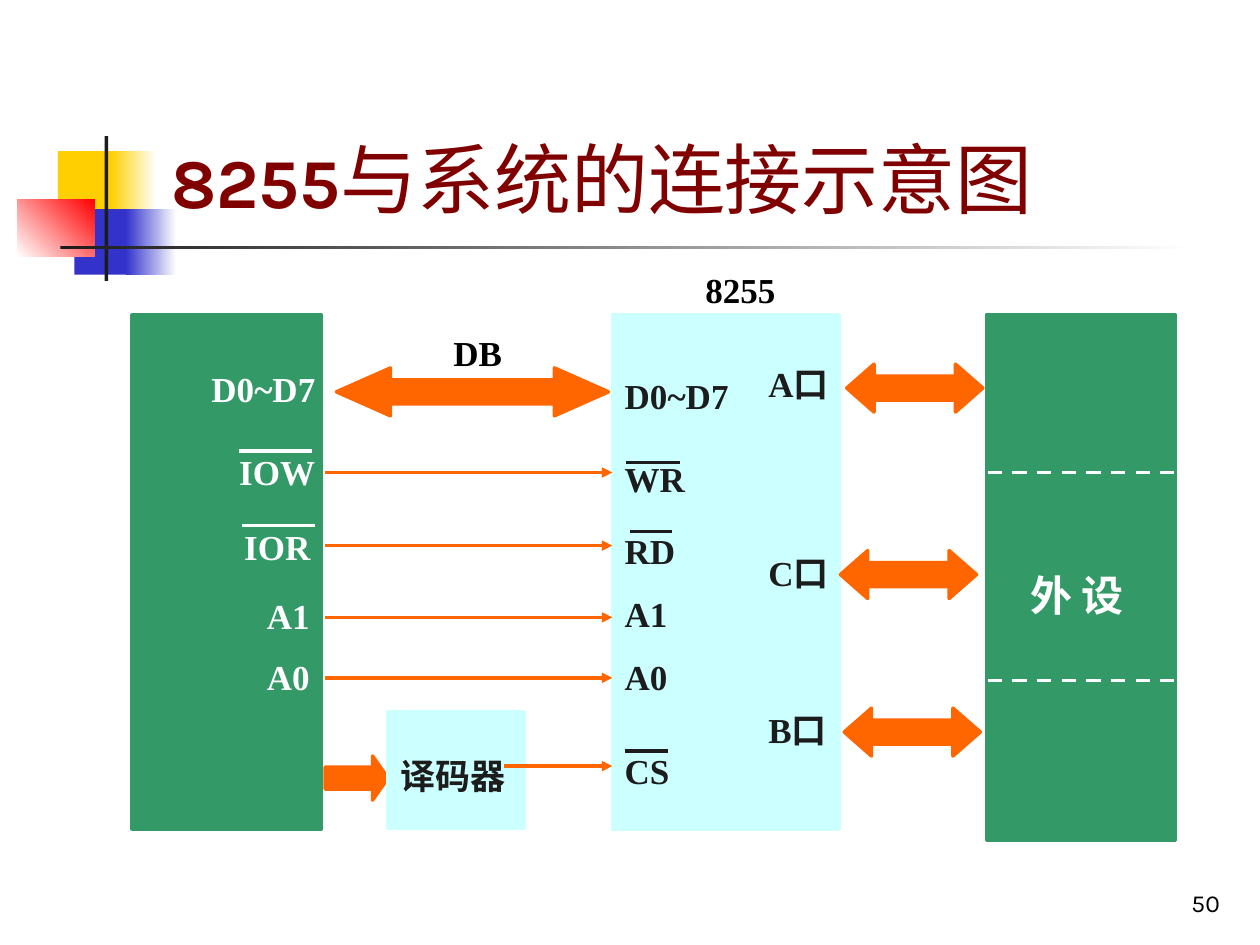
from lxml.etree import SubElement
from pptx import Presentation
from pptx.dml.color import RGBColor
from pptx.enum.dml import MSO_LINE
from pptx.enum.shapes import MSO_CONNECTOR, MSO_SHAPE
from pptx.enum.text import MSO_ANCHOR, PP_ALIGN
from pptx.oxml.ns import qn
from pptx.util import Inches, Pt

GREEN, CYAN, ORANGE = "339966", "CCFFFF", "FF6600"
DARK, WHITE, BLACK, MAROON = "1C1C1C", "FFFFFF", "000000", "800000"
YELLOW, BLUE, RED = "FFCF01", "3333CC", "FF0000"
SERIF, SANS = "Times New Roman", "Karla"

# Corner ornament: left, top, width, height, colours, gradient angle
ORNAMENT = [
    (0.46, 1.2, 0.48, 0.52, [YELLOW], 0),
    (0.88, 1.2, 0.36, 0.52, [YELLOW, WHITE], 0),
    (0.59, 1.66, 0.46, 0.52, [BLUE], 0),
    (1, 1.66, 0.4, 0.52, [BLUE, WHITE], 0),
    (0.14, 1.58, 0.61, 0.46, [WHITE, RED], 45),
    (0.83, 1.08, 0.03, 1.15, [DARK], 0),
    (0.48, 1.95, 9, 0.03, [DARK, WHITE], 0),
]

# Blocks of the diagram: left, top, width, height, colour
SYSTEM = (1.05, 2.5, 1.5, 4.08, GREEN)
CHIP = (4.86, 2.5, 1.8, 4.08, CYAN)
DEVICE = (7.83, 2.5, 1.5, 4.17, GREEN)
DECODER = (3.08, 5.65, 1.08, 0.92, CYAN)
BUS_START, CHIP_EDGE = 2.58, CHIP[0]

# Labels: text, left, top, width
SYSTEM_PINS = [("D0~D7", 1.58, 2.87, 1.17), ("IOW", 1.8, 3.53, 0.83),
               ("IOR", 1.84, 4.12, 0.83), ("A1", 2.02, 4.67, 0.66),
               ("A0", 2.02, 5.15, 0.66)]
HEADINGS = [("DB", 3.5, 2.58, 0.83), ("8255", 5.5, 2.08, 0.83)]
CHIP_PINS = [("D0~D7", 2.92), ("WR", 3.58), ("RD", 4.15),
             ("A1", 4.65), ("A0", 5.15), ("CS", 5.9)]

# Ports: text, label top, arrow left, arrow top
PORTS = [("A口", 2.83, 6.72, 2.89), ("C口", 4.33, 6.67, 4.37),
         ("B口", 5.57, 6.7, 5.62)]

# Signal arrows into the chip: start, height
SIGNALS = [(BUS_START, 3.75), (BUS_START, 4.33), (BUS_START, 4.9),
           (BUS_START, 5.38), (4, 6.08)]

# Bars over active-low names: start, end, height, colour
OVERLINES = [(1.9, 2.48, 3.58, WHITE), (1.92, 2.5, 4.17, WHITE),
             (4.97, 5.4, 3.67, DARK), (5, 5.33, 4.22, DARK),
             (4.96, 5.3, 5.96, DARK)]
DIVIDERS = [3.75, 5.4]

presentation = Presentation()
presentation.slide_width, presentation.slide_height = Inches(10), Inches(7.5)
slide = presentation.slides.add_slide(presentation.slide_layouts[6])


def color(value):
    return RGBColor.from_string(value)


def add_block(left, top, width, height, fill, kind=MSO_SHAPE.RECTANGLE,
              adjustments=(), outlined=True):
    shape = slide.shapes.add_shape(
        kind, Inches(left), Inches(top), Inches(width), Inches(height))
    shape.shadow.inherit = False
    for index, value in enumerate(adjustments):
        shape.adjustments[index] = value
    shape.fill.solid()
    shape.fill.fore_color.rgb = color(fill)
    if outlined:
        shape.line.color.rgb = color(fill)
        shape.line.width = Pt(2)
    else:
        shape.line.fill.background()
    return shape


def add_gradient(shape, colors, angle):
    shape.fill.gradient()
    shape.fill.gradient_angle = angle
    for stop, value, position in zip(shape.fill.gradient_stops, colors, (0, 1)):
        stop.color.rgb = color(value)
        stop.position = position


def add_line(start, end, height, line_color, arrow=False, dashed=False):
    line = slide.shapes.add_connector(
        MSO_CONNECTOR.STRAIGHT, Inches(start), Inches(height),
        Inches(end), Inches(height))
    line.line.color.rgb = color(line_color)
    line.line.width = Pt(2)
    if dashed:
        line.line.dash_style = MSO_LINE.DASH
    if arrow:
        SubElement(line.line._get_or_add_ln(), qn("a:tailEnd"), type="triangle")
    SubElement(line._element.spPr, qn("a:effectLst"))


def add_text(runs, left, top, width, height, font_color, anchor=MSO_ANCHOR.TOP,
             **paragraph_format):
    """Add one paragraph; each run is (text, size, font name, bold)."""
    box = slide.shapes.add_textbox(
        Inches(left), Inches(top), Inches(width), Inches(height))
    frame = box.text_frame
    frame.word_wrap = True
    frame.vertical_anchor = anchor
    paragraph = frame.paragraphs[0]
    for name, value in paragraph_format.items():
        setattr(paragraph, name, value)
    for text, size, font_name, bold in runs:
        run = paragraph.add_run()
        run.text = text
        run.font.color.rgb = color(font_color)
        for name, value in dict(size=Pt(size), name=font_name, bold=bold).items():
            setattr(run.font, name, value)


def add_label(text, left, top, width, font_color, size=20, height=0.44, **options):
    add_text([(text, size, SERIF, True)], left, top, width, height,
             font_color, **options)


# Ornament, title and page number
for *place, colors, angle in ORNAMENT:
    part = add_block(*place, colors[0], outlined=False)
    if len(colors) > 1:
        add_gradient(part, colors, angle)
add_text([("8255", 40, SANS, True), ("与系统的连接示意图", 44, SANS, False)],
         1.26, 0.23, 8.52, 1.6, MAROON, MSO_ANCHOR.BOTTOM)
add_text([("50", 14, SANS, False)], 7.7, 6.83, 2.08, 0.5, BLACK,
         MSO_ANCHOR.BOTTOM, alignment=PP_ALIGN.RIGHT)

# Blocks and bus arrows
add_block(*SYSTEM)
add_block(*CHIP)
add_block(2.67, 2.92, 2.16, 0.38, ORANGE, MSO_SHAPE.LEFT_RIGHT_ARROW, (0.5, 1.13))
add_block(BUS_START, 6, 0.5, 0.35, ORANGE, MSO_SHAPE.RIGHT_ARROW, (0.5, 0.35))
add_block(*DECODER)
add_block(*DEVICE)

# Signals, overlines and dividers
for start, height in SIGNALS:
    add_line(start, CHIP_EDGE, height, ORANGE, arrow=True)
for overline in OVERLINES:
    add_line(*overline)
for height in DIVIDERS:
    add_line(7.84, 9.33, height, WHITE, dashed=True)

# Labels
for pin in SYSTEM_PINS:
    add_label(*pin, WHITE)
for heading in HEADINGS:
    add_label(*heading, BLACK)
for text, top in CHIP_PINS:
    add_label(text, CHIP_EDGE, top, 1.17 if len(text) > 2 else 0.8, DARK)
for text, label_top, arrow_left, arrow_top in PORTS:
    add_label(text, 6, label_top, 0.8, DARK)
    add_block(arrow_left, arrow_top, 1.08, 0.38, ORANGE,
              MSO_SHAPE.LEFT_RIGHT_ARROW, (0.5, 0.57))
add_label("译码器", 3.08, 5.82, 1.17, DARK, height=0.55, line_spacing=1.35)
add_label("外 设", 8.08, 4.33, 1.17, WHITE, size=24, height=0.64, line_spacing=1.35)

presentation.save("out.pptx")
